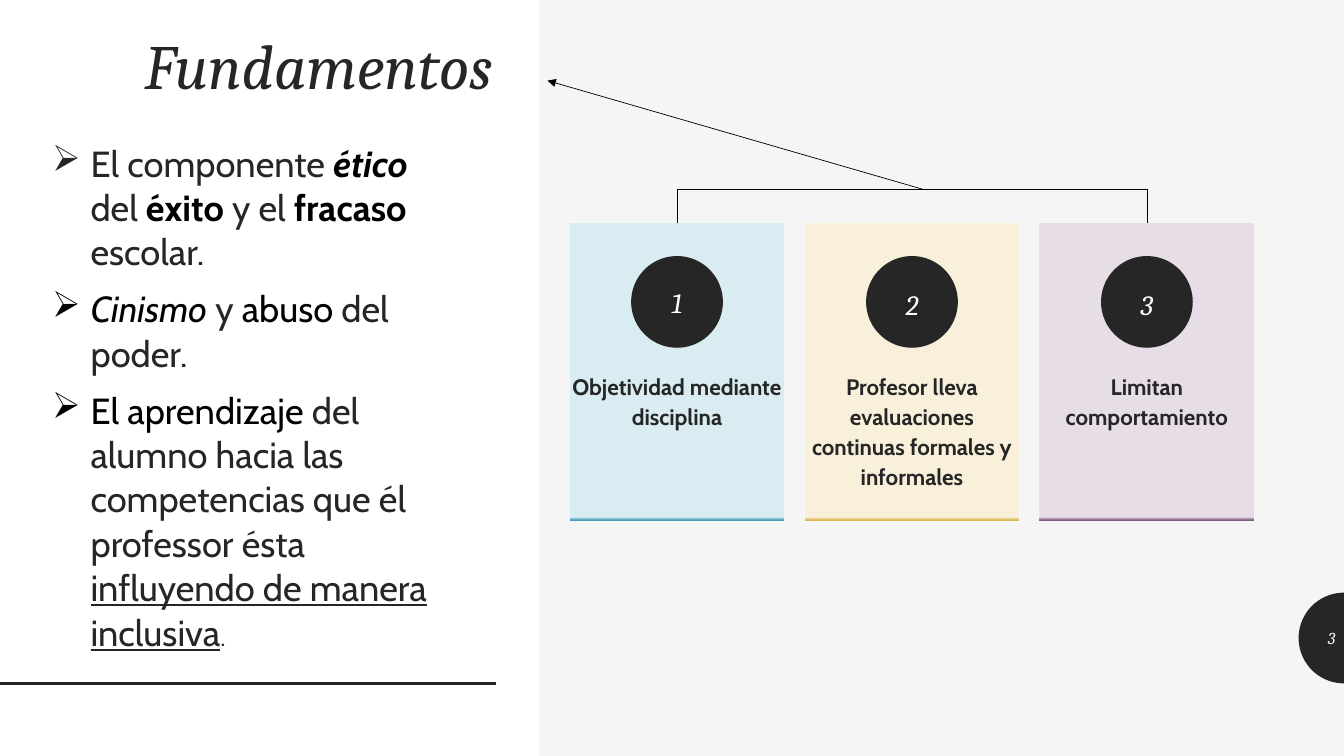
import math

from lxml import etree
from pptx import Presentation
from pptx import util as u
from pptx.dml.color import RGBColor
from pptx.enum import shapes, text
from pptx.oxml.ns import qn

INK = {
    "dark": "262626", "black": "000000", "white": "FFFFFF", "pale": "F5F5F5",
    "blue": "D9ECF1", "blue edge": "439EB7",
    "gold": "F8F0DB", "gold edge": "DCB64D",
    "plum": "E7DDE7", "plum edge": "835B82",
}
HEAD, BODY = "Cambria", "Cabin"
LEFT, MID, RIGHT = (text.PP_ALIGN.LEFT, text.PP_ALIGN.CENTER,
                    text.PP_ALIGN.RIGHT)
TOP, CORE, BASE = (text.MSO_ANCHOR.TOP, text.MSO_ANCHOR.MIDDLE,
                   text.MSO_ANCHOR.BOTTOM)

CARDS = [
    ("blue", "Objetividad mediante disciplina"),
    ("gold", "Profesor lleva evaluaciones continuas formales y informales"),
    ("plum", "Limitan comportamiento"),
]
# Each run: words, then marks: k black, b bold, i italic, u underlined, s small
POINTS = [
    [("El componente ", ""), ("ético", "kbi"), (" del ", ""), ("éxito", "kb"),
     (" y el ", ""), ("fracaso", "kb"), (" escolar.", "")],
    [("Cinismo", "ki"), (" y ", ""), ("abuso", "k"), (" del poder.", "")],
    [("El aprendizaje ", "k"),
     ("del alumno hacia las competencias que él professor ésta ", ""),
     ("influyendo de manera inclusiva", "u"), (".", "s")],
]


def rgb(name):
    return RGBColor.from_string(INK[name])


class Deck:
    def __init__(self):
        self.prs = Presentation()
        self.prs.slide_width = u.Inches(13.33)
        self.prs.slide_height = u.Inches(7.5)
        self.slide = self.prs.slides.add_slide(self.prs.slide_layouts[6])
        self.draw = self.slide.shapes
        back = self.slide.background.fill
        back.solid()
        back.fore_color.rgb = rgb("pale")

    def plain(self, item, fill):
        """Give a shape a flat fill, no outline and no shadow."""
        item.shadow.inherit = False
        item.line.fill.background()
        item.fill.solid()
        item.fill.fore_color.rgb = rgb(fill)
        return item

    def shape(self, kind, box, fill):
        item = self.draw.add_shape(kind, *map(u.Inches, box))
        return self.plain(item, fill)

    def card(self, box, tint):
        item = self.shape(shapes.MSO_SHAPE.RECTANGLE, box, tint)
        item.fill.gradient()
        item.fill.gradient_angle = 270
        first, last = item.fill.gradient_stops
        first.position, first.color.rgb = 0.99, rgb(tint)
        last.position, last.color.rgb = 1, rgb(tint + " edge")
        return item

    def half(self, x, y, r):
        """Draw the left half of a disc centred on x, y."""
        turns = [math.pi * (0.5 + n / 40) for n in range(41)]
        dots = [(u.Inches(x + r * math.cos(t)), u.Inches(y - r * math.sin(t)))
                for t in turns]
        path = self.draw.build_freeform(*dots[0])
        path.add_line_segments(dots[1:], close=True)
        return self.plain(path.convert_to_shape(), "dark")

    def box(self, box):
        return self.draw.add_textbox(*map(u.Inches, box))

    def frame(self, item, anchor=TOP, pad=None):
        """Set up the text frame; pad is left, top, right, bottom."""
        tf = item.text_frame
        tf.word_wrap = True
        tf.vertical_anchor = anchor
        if pad:
            (tf.margin_left, tf.margin_top, tf.margin_right,
             tf.margin_bottom) = map(u.Inches, pad)
        return tf

    def para(self, par, align=LEFT, gap=0, lead=1.0):
        par.alignment = align
        par.space_before = u.Pt(gap)
        par.line_spacing = lead
        return par

    def run(self, par, words, size, font, ink="dark", marks=""):
        run = par.add_run()
        run.text = words
        run.font.name, run.font.size = font, u.Pt(size)
        run.font.color.rgb = rgb(ink)
        run.font.bold, run.font.italic = "b" in marks, "i" in marks
        run.font.underline = "u" in marks

    def bullet(self, par, sign, dent):
        props = par._p.get_or_add_pPr()
        props.set("marL", str(u.Inches(dent)))
        props.set("indent", str(-u.Inches(dent)))
        etree.SubElement(props, qn("a:buChar")).set("char", sign)

    def line(self, start, end, ink="black", width=0.5, arrow=False):
        item = self.draw.add_connector(
            shapes.MSO_CONNECTOR.STRAIGHT, *map(u.Inches, start + end))
        item.line.color.rgb = rgb(ink)
        item.line.width = u.Pt(width)
        if arrow:
            tip = etree.SubElement(item.line._get_or_add_ln(), qn("a:tailEnd"))
            tip.set("type", "triangle")
        etree.SubElement(item._element.spPr, qn("a:effectLst"))
        return item


def main():
    deck = Deck()
    deck.half(13.33, 6.33, 0.45)
    deck.shape(shapes.MSO_SHAPE.RECTANGLE, (0, 0, 5.35, 7.5), "white")
    deck.line((0, 6.78), (4.92, 6.78), "dark", 2)

    title = deck.frame(deck.box((0.42, 0.2, 4.56, 0.87)), BASE)
    par = deck.para(title.paragraphs[0], RIGHT, lead=0.9)
    deck.run(par, "Fundamentos", 45, HEAD, marks="i")

    left, top, wide, high, step = 5.65, 2.21, 2.13, 2.95, 2.33
    disc, rail = 0.91, 1.88
    mids = [left + n * step + wide / 2 for n in range(len(CARDS))]
    for n, (mid, (tint, words)) in enumerate(zip(mids, CARDS)):
        card = deck.card((mid - wide / 2, top, wide, high), tint)
        tf = deck.frame(card, pad=(0, 1.46, 0, 0))
        par = deck.para(tf.paragraphs[0], MID, 9, 1.12)
        deck.run(par, words, 16, BODY, marks="b")

        ball = deck.shape(shapes.MSO_SHAPE.OVAL,
                          (mid - disc / 2, top + 0.33, disc, disc), "dark")
        tf = deck.frame(ball, CORE, (0, 0, 0, 0))
        par = deck.para(tf.paragraphs[0], MID, 9, 1.12 if n else 1.0)
        deck.run(par, str(n + 1), 20, HEAD, "white", "i")

        if mid in (mids[0], mids[-1]):
            stem = deck.line((mid, top), (mid, rail))
            stem.begin_connect(card, 0)

    tf = deck.frame(deck.box((0.42, 1.34, 4.2, 5.26)))
    for n, point in enumerate(POINTS):
        par = tf.add_paragraph() if n else tf.paragraphs[0]
        deck.para(par, gap=9, lead=1.02)
        deck.bullet(par, "➢", 0.38)
        for words, marks in point:
            deck.run(par, words, 18.5 if "s" in marks else 25.9, BODY,
                     "black" if "k" in marks else "dark", marks)

    tf = deck.frame(deck.box((12.89, 6.13, 0.45, 0.4)), CORE)
    par = deck.para(tf.paragraphs[0], RIGHT)
    deck.run(par, "3", 12, HEAD, "pale", "i")

    deck.line((mids[0], rail), (mids[-1], rail))
    deck.line((9.16, rail), (5.43, 0.8), arrow=True)
    deck.prs.save("out.pptx")


if __name__ == "__main__":
    main()
